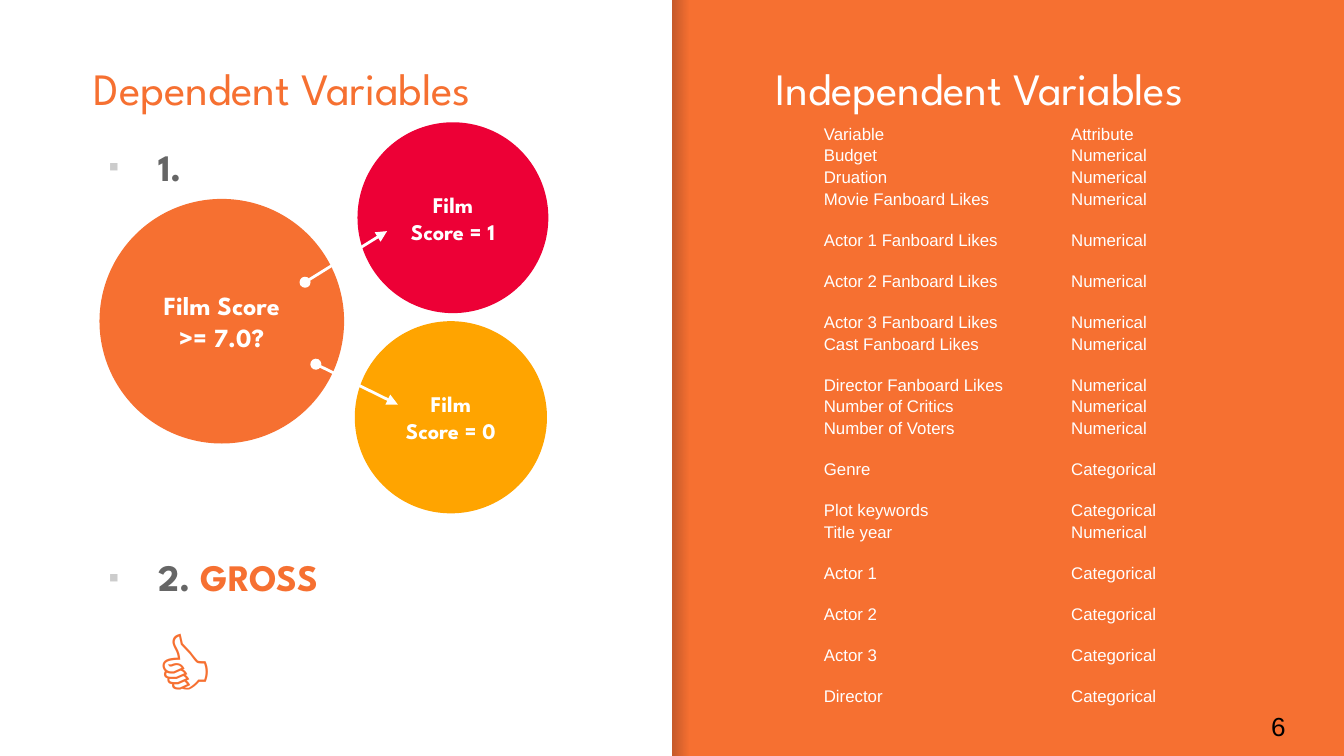
from lxml import etree
from pptx import Presentation, util as u
from pptx.dml.color import RGBColor
from pptx.enum import shapes, text
from pptx.oxml.ns import qn

W = 10
H = W * 9 / 16
ORANGE, WHITE, GREY, BLACK = "F67031", "FFFFFF", "666666", "000000"
SPARTAN, ARIAL = "League Spartan", "Arial"

# text, left, top, width, height, anchor, format
LABELS = [
    ("Dependent Variables", 0.6, -0.11, 3.85, 1.06, "BOTTOM", dict(size=24, color=ORANGE)),
    ("Independent Variables", 5.67, -0.11, 3.85, 1.06, "BOTTOM", dict(size=24, color=WHITE)),
    ("6", 9.36, 5.19, 0.6, 0.43, "MIDDLE", dict(size=14, color=BLACK, name=ARIAL)),
]
TARGETS = [  # runs of each numbered point
    [("1.", GREY)],
    [("2. ", GREY), ("GROSS", ORANGE)],
]
CIRCLES = [  # lines, left, top, diameter, fill, text size
    (["Film", "Score = 1"], 2.66, 0.91, 1.42, "ED0036", 12),
    (["Film", "Score = 0"], 2.64, 2.39, 1.43, "FFA400", 12),
    (["Film Score >= 7.0?"], 0.74, 1.48, 1.82, ORANGE, 14),
]
ARROWS = [(2.27, 2.1, 2.88, 1.72), (2.35, 2.71, 2.96, 3.01)]
NUM, CAT = "Numerical", "Categorical"
SHORT, TALL = 11.6, 22  # row heights in points
VARIABLES = [
    ("Variable", "Attribute", SHORT),
    ("Budget", NUM, SHORT),
    ("Druation", NUM, SHORT),
    ("Movie Fanboard Likes", NUM, SHORT),
    ("Actor 1 Fanboard Likes", NUM, TALL),
    ("Actor 2 Fanboard Likes", NUM, TALL),
    ("Actor 3 Fanboard Likes", NUM, TALL),
    ("Cast Fanboard Likes", NUM, SHORT),
    ("Director Fanboard Likes", NUM, TALL),
    ("Number of Critics", NUM, SHORT),
    ("Number of Voters", NUM, SHORT),
    ("Genre", CAT, TALL),
    ("Plot keywords", CAT, TALL),
    ("Title year", NUM, SHORT),
    ("Actor 1", CAT, TALL),
    ("Actor 2", CAT, TALL),
    ("Actor 3", CAT, TALL),
    ("Director", CAT, TALL),
]


def rgb(value):
    return RGBColor.from_string(value)


def inches(*values):
    return [u.Inches(v) for v in values]


def add_run(p, words, size, color, name=SPARTAN, bold=False):
    r = p.add_run()
    r.text = words
    r.font.color.rgb = rgb(color)
    for key, value in dict(size=u.Pt(size), name=name, bold=bold).items():
        setattr(r.font, key, value)


def set_frame(tf, anchor="TOP", inset=0.1):
    tf.word_wrap = True
    tf.vertical_anchor = getattr(text.MSO_ANCHOR, anchor)
    for side in ("left", "top", "right", "bottom"):
        setattr(tf, f"margin_{side}", u.Inches(inset))
    return tf


def paragraphs(tf, items):
    """Pair each item with its own paragraph of the frame."""
    for i, item in enumerate(items):
        yield (tf.add_paragraph() if i else tf.paragraphs[0]), item


def add_shape(s, kind, box, fill=None):
    sp = s.shapes.add_shape(kind, *inches(*box))
    sp.shadow.inherit = False
    sp.line.fill.background()
    if fill:
        sp.fill.solid()
        sp.fill.fore_color.rgb = rgb(fill)
    return sp


def add_panel(s):
    """White left half with a soft shade along its right edge."""
    rect = shapes.MSO_SHAPE.RECTANGLE
    add_shape(s, rect, (0, 0, W / 2, H), WHITE)
    shade = add_shape(s, rect, (W / 2, 0, 0.12, H))
    shade.fill.gradient()
    shade.fill.gradient_angle = 0
    for stop, position in zip(shade.fill.gradient_stops, (0, 1)):
        stop.position = position
        stop.color.rgb = rgb("000014")
    for clr, alpha in zip(shade._element.iter(qn("a:srgbClr")), (20, 0)):
        etree.SubElement(clr, qn("a:alpha")).set("val", str(alpha * 1000))


def add_targets(s):
    box = s.shapes.add_textbox(*inches(0.61, 0.92, 3.85, 4.57))
    for p, runs in paragraphs(set_frame(box.text_frame), TARGETS):
        pPr = p._p.get_or_add_pPr()
        pPr.set("marL", str(u.Inches(0.47)))
        pPr.set("indent", str(u.Inches(-0.37)))
        color = etree.SubElement(pPr, qn("a:buClr"))
        etree.SubElement(color, qn("a:srgbClr")).set("val", "CCCCCC")
        etree.SubElement(pPr, qn("a:buSzPct")).set("val", "80000")
        etree.SubElement(pPr, qn("a:buFont")).set("typeface", ARIAL)
        etree.SubElement(pPr, qn("a:buChar")).set("char", "▪")
        p.line_spacing = 1.15
        for words, tint in runs:
            add_run(p, words, 20, tint, bold=True)
    p.space_before = u.Pt(192.5)


def add_arrow(s, ends):
    line = s.shapes.add_connector(shapes.MSO_CONNECTOR.STRAIGHT, *inches(*ends))
    line.line.color.rgb = rgb(WHITE)
    line.line.width = u.Pt(1.5)
    ln = line.line._get_or_add_ln()
    for tag, kind in (("a:headEnd", "oval"), ("a:tailEnd", "triangle")):
        etree.SubElement(ln, qn(tag)).set("type", kind)
    etree.SubElement(line._element.spPr, qn("a:effectLst"))


def add_variables(s):
    frame = s.shapes.add_table(len(VARIABLES), 2, *inches(6.13, 0.91, 2.75, 4.35))
    table = frame.table
    table.first_row = table.horz_banding = False
    for column, width in zip(table.columns, (1.84, 0.91)):
        column.width = u.Inches(width)
    # The plain style without a grid
    style = frame._element.find(".//" + qn("a:tableStyleId"))
    style.text = "{2D5ABB26-0587-4C30-8999-92F81FD0307C}"
    for row, (*words, height) in zip(table.rows, VARIABLES):
        row.height = u.Pt(height)
        for cell, word in zip(row.cells, words):
            cell.fill.background()
            set_frame(cell, "BOTTOM", 0)
            add_run(cell.text_frame.paragraphs[0], word, 9, WHITE, ARIAL)


def main():
    prs = Presentation()
    prs.slide_width, prs.slide_height = inches(W, H)
    s = prs.slides.add_slide(prs.slide_layouts[6])
    s.background.fill.solid()
    s.background.fill.fore_color.rgb = rgb(ORANGE)
    add_panel(s)
    for words, *box, anchor, style in LABELS:
        tf = set_frame(s.shapes.add_textbox(*inches(*box)).text_frame, anchor)
        add_run(tf.paragraphs[0], words, **style)
    add_targets(s)
    for lines, left, top, size, fill, points in CIRCLES:
        sp = add_shape(s, shapes.MSO_SHAPE.OVAL, (left, top, size, size), fill)
        for p, words in paragraphs(set_frame(sp.text_frame, "MIDDLE"), lines):
            p.alignment = text.PP_ALIGN.CENTER
            add_run(p, words, points, WHITE, bold=True)
    for ends in ARROWS:
        add_arrow(s, ends)
    thumb = s.shapes.add_textbox(*inches(1.06, 4.5, 1.03, 0.91)).text_frame
    thumb.word_wrap = False
    add_run(thumb.paragraphs[0], "👍", 48, ORANGE)
    add_variables(s)
    prs.save("out.pptx")


if __name__ == "__main__":
    main()
